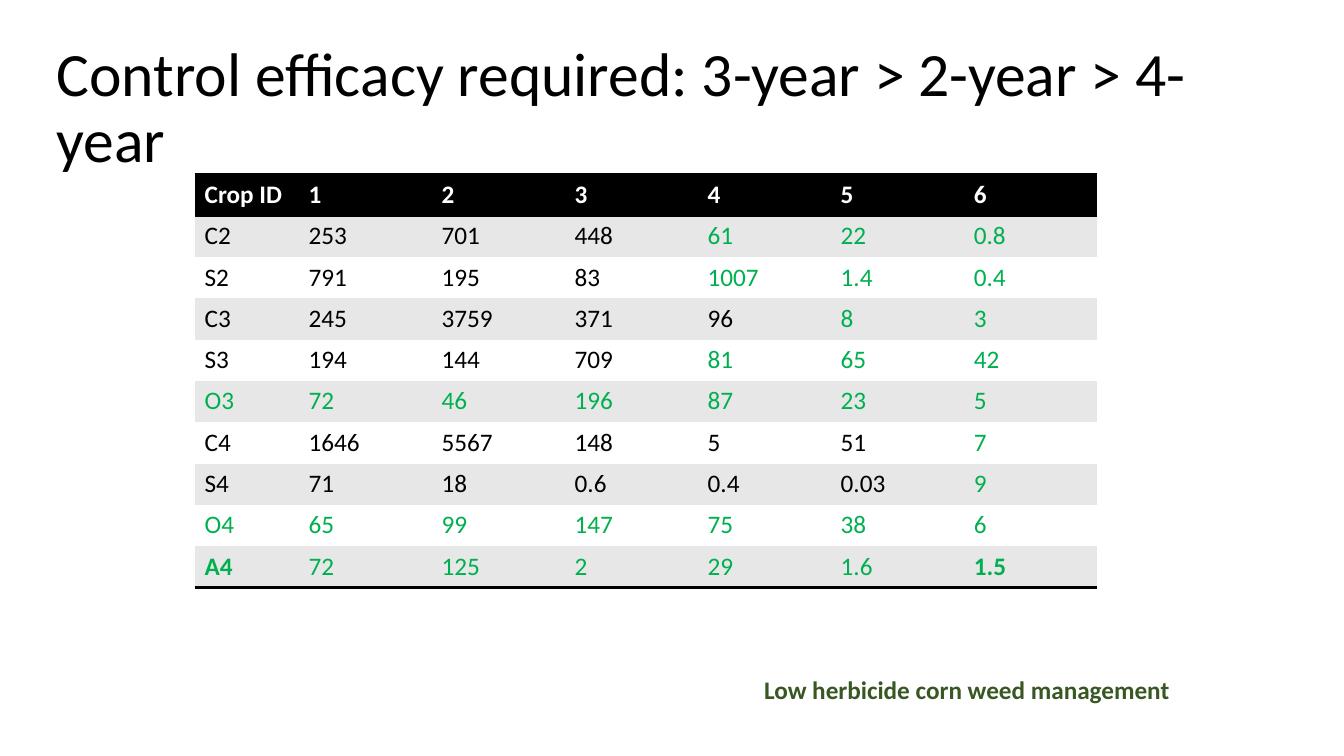
import pptx
import pptx.dml.color
import pptx.enum.text
import pptx.util
from lxml import etree
from pptx.oxml.ns import qn

# Content
TITLE = "Control efficacy required: 3-year > 2-year > 4-year"
FOOTER = "Low herbicide corn weed management"
HEADER = ["Crop ID", "1", "2", "3", "4", "5", "6"]
# Each crop row: the values and the first column shown in green
CROPS = [
    (["C2", "253", "701", "448", "61", "22", "0.8"], 4),
    (["S2", "791", "195", "83", "1007", "1.4", "0.4"], 4),
    (["C3", "245", "3759", "371", "96", "8", "3"], 5),
    (["S3", "194", "144", "709", "81", "65", "42"], 4),
    (["O3", "72", "46", "196", "87", "23", "5"], 0),
    (["C4", "1646", "5567", "148", "5", "51", "7"], 6),
    (["S4", "71", "18", "0.6", "0.4", "0.03", "9"], 6),
    (["O4", "65", "99", "147", "75", "38", "6"], 0),
    (["A4", "72", "125", "2", "29", "1.6", "1.5"], 0),
]
BOLD_VALUES = {"A4", "1.5"}

# Look
COLORS = {"black": "000000", "white": "FFFFFF", "band": "E7E7E7",
          "green": "00B050", "footer": "385723"}
FONT = "Calibri"
NO_STYLE = "{2D5ABB26-0587-4C30-8999-92F81FD0307C}"
MIDDLE = pptx.enum.text.MSO_ANCHOR.MIDDLE

# Layout in inches
SLIDE_SIZE = (13.33, 7.5)
TITLE_BOX = (0.46, 0.36, 12.42, 1.45)
FOOTER_BOX = (7.48, 6.64, 4.94, 0.4)
TABLE_LEFT, TABLE_TOP = 1.93, 1.73
ID_WIDTH, VALUE_WIDTH, ROW_HEIGHT = 1.03, 1.32, 0.41
inches = pptx.util.Inches


def rgb(color):
    return pptx.dml.color.RGBColor.from_string(COLORS[color])


def write(frame, text, color, size=18, bold=False):
    paragraph = frame.paragraphs[0]
    run = paragraph.add_run()
    run.text = text
    values = {"name": FONT, "size": pptx.util.Pt(size), "bold": bold}
    for name, value in values.items():
        setattr(run.font, name, value)
    run.font.color.rgb = rgb(color)
    return paragraph


def add_text(slide, box, text, color, **values):
    frame = slide.shapes.add_textbox(*map(inches, box)).text_frame
    frame.word_wrap = True
    return frame, write(frame, text, color, **values)


def add_border(cell, side):
    line = etree.SubElement(cell._tc.get_or_add_tcPr(), qn(f"a:{side}"),
                            w=str(pptx.util.Pt(2)))
    fill = etree.SubElement(line, qn("a:solidFill"))
    etree.SubElement(fill, qn("a:srgbClr"), val=COLORS["black"])


def add_crop_table(slide):
    rows = [(HEADER, None)] + CROPS
    width = ID_WIDTH + VALUE_WIDTH * (len(HEADER) - 1)
    box = (TABLE_LEFT, TABLE_TOP, width, ROW_HEIGHT * len(rows))
    table = slide.shapes.add_table(len(rows), len(HEADER), *map(inches, box)).table
    table._tbl.tblPr.find(qn("a:tableStyleId")).text = NO_STYLE
    for index, column in enumerate(table.columns):
        column.width = inches(VALUE_WIDTH if index else ID_WIDTH)

    for row, (values, first_green) in enumerate(rows):
        is_header = row == 0
        table.rows[row].height = inches(ROW_HEIGHT)
        sides = ["lnT", "lnB"] if is_header else ["lnB"] if row == len(CROPS) else []
        band = "black" if is_header else "band" if row % 2 else "white"
        for column, text in enumerate(values):
            cell = table.cell(row, column)
            for side in sides:
                add_border(cell, side)
            cell.fill.solid()
            cell.fill.fore_color.rgb = rgb(band)
            if is_header:
                color = "white"
            else:
                color = "green" if column >= first_green else "black"
            write(cell.text_frame, text, color, bold=is_header or text in BOLD_VALUES)


def main():
    presentation = pptx.Presentation()
    presentation.slide_width, presentation.slide_height = map(inches, SLIDE_SIZE)
    slide = presentation.slides.add_slide(presentation.slide_layouts[6])

    # Title
    frame, paragraph = add_text(slide, TITLE_BOX, TITLE, "black", size=44)
    frame.vertical_anchor = MIDDLE
    paragraph.line_spacing = 0.9

    # Table and footer
    add_crop_table(slide)
    add_text(slide, FOOTER_BOX, FOOTER, "footer", bold=True)
    presentation.save("out.pptx")


if __name__ == "__main__":
    main()
